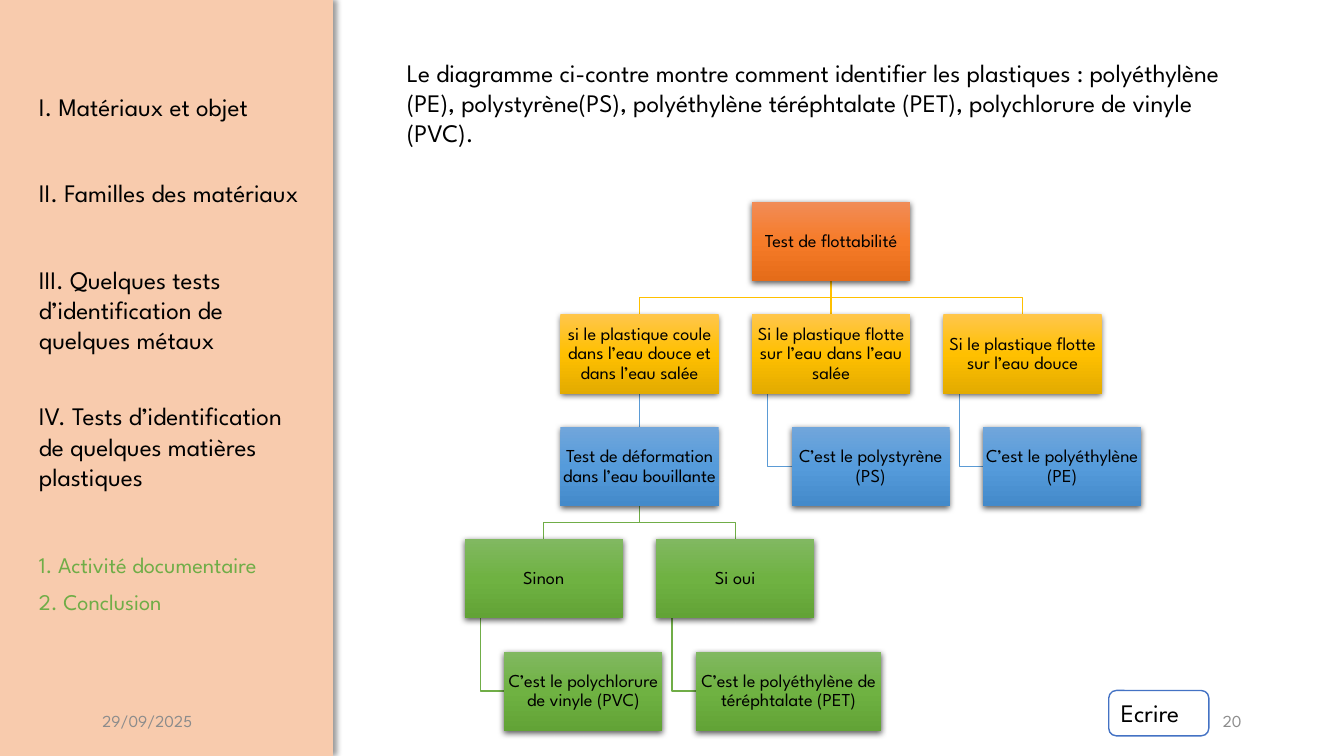
from dataclasses import dataclass

from lxml import etree
from pptx import Presentation
from pptx.dml.color import RGBColor
from pptx.enum import shapes, text
from pptx.oxml import ns
from pptx.util import Pt

FONT = "League Spartan"
BLACK = RGBColor(0x00, 0x00, 0x00)
WHITE = RGBColor(0xFF, 0xFF, 0xFF)
GREY = RGBColor(0x8C, 0x8C, 0x8C)
PEACH = RGBColor(0xF8, 0xCB, 0xAD)
BORDER_BLUE = RGBColor(0x44, 0x72, 0xC4)
YELLOW = RGBColor(0xFF, 0xC0, 0x00)
BLUE = RGBColor(0x5B, 0x9B, 0xD5)
GREEN = RGBColor(0x70, 0xAD, 0x47)

ORANGE_SHADES = RGBColor(0xF1, 0x8C, 0x57), RGBColor(0xF6, 0x7B, 0x28), RGBColor(0xE5, 0x6C, 0x19)
YELLOW_SHADES = RGBColor(0xFF, 0xC6, 0x4B), RGBColor(0xFF, 0xC0, 0x00), RGBColor(0xE3, 0xAB, 0x00)
BLUE_SHADES = RGBColor(0x71, 0xA6, 0xDB), RGBColor(0x55, 0x9B, 0xDB), RGBColor(0x44, 0x8A, 0xCA)
GREEN_SHADES = RGBColor(0x81, 0xB8, 0x61), RGBColor(0x6F, 0xB2, 0x42), RGBColor(0x62, 0xA3, 0x36)

# Tree geometry: columns are counted in half steps, hanging boxes are indented
HALF_COLUMN, ROW_STEP = 68.4, 80.3
BOX_WIDTH, BOX_HEIGHT = 113, 56.6
HANG_INDENT, HANG_START = 28.3, 11.3


@dataclass
class Node:
    label: str
    column: int
    row: int
    shades: tuple
    parent: str = ""
    link_color: RGBColor = None
    hanging: bool = False
    width: float = BOX_WIDTH


NODES = [
    Node("Test de flottabilité", 3, 0, ORANGE_SHADES),
    Node("si le plastique coule dans l’eau douce et dans l’eau salée", 1, 1, YELLOW_SHADES,
         "Test de flottabilité", YELLOW),
    Node("Si le plastique flotte sur l’eau dans l’eau salée", 3, 1, YELLOW_SHADES,
         "Test de flottabilité", YELLOW),
    Node("Si le plastique flotte sur l’eau douce", 5, 1, YELLOW_SHADES,
         "Test de flottabilité", YELLOW),
    Node("Test de déformation dans l’eau bouillante", 1, 2, BLUE_SHADES,
         "si le plastique coule dans l’eau douce et dans l’eau salée", BLUE),
    Node("C’est le polystyrène (PS)", 3, 2, BLUE_SHADES,
         "Si le plastique flotte sur l’eau dans l’eau salée", BLUE, True),
    Node("C’est le polyéthylène (PE)", 5, 2, BLUE_SHADES,
         "Si le plastique flotte sur l’eau douce", BLUE, True),
    Node("Sinon", 0, 3, GREEN_SHADES, "Test de déformation dans l’eau bouillante", GREEN),
    Node("Si oui", 2, 3, GREEN_SHADES, "Test de déformation dans l’eau bouillante", GREEN),
    Node("C’est le polychlorure de vinyle (PVC)", 0, 4, GREEN_SHADES, "Sinon", GREEN, True),
    Node("C’est le polyéthylène de téréphtalate (PET)", 2, 4, GREEN_SHADES, "Si oui", GREEN,
         True, 132.5),
]


def add_shadow(shape, opacity, blur, distance, angle):
    """Call after the line is set, so that the effect follows it."""
    shape.shadow.inherit = False
    effects = shape._element.spPr.find(ns.qn("a:effectLst"))
    outer = etree.SubElement(effects, ns.qn("a:outerShdw"), blurRad=str(Pt(blur)),
                             dist=str(Pt(distance)), dir=str(angle * 60000),
                             algn="ctr", rotWithShape="0")
    color = etree.SubElement(outer, ns.qn("a:srgbClr"), val="000000")
    etree.SubElement(color, ns.qn("a:alpha"), val=str(opacity * 1000))


def fill_vertical_gradient(shape, shades):
    shape.fill.gradient()
    gradient = shape._element.spPr.find(ns.qn("a:gradFill"))
    stops = gradient.find(ns.qn("a:gsLst"))
    for stop in list(stops):
        stops.remove(stop)
    for position, shade in zip((0, 50000, 100000), shades):
        stop = etree.SubElement(stops, ns.qn("a:gs"), pos=str(position))
        etree.SubElement(stop, ns.qn("a:srgbClr"), val=str(shade))
    gradient.find(ns.qn("a:lin")).set("ang", "5400000")


def write(shape, content, size, color=BLACK, align=text.PP_ALIGN.LEFT,
          anchor=text.MSO_ANCHOR.TOP, wrap=True):
    frame = shape.text_frame
    frame.text = content
    frame.word_wrap = wrap
    frame.vertical_anchor = anchor
    paragraph = frame.paragraphs[0]
    paragraph.alignment = align
    font = paragraph.runs[0].font
    font.name, font.size, font.color.rgb = FONT, Pt(size), color


def add_text(slide, left, top, width, height, content, size, **style):
    box = slide.shapes.add_textbox(Pt(left), Pt(top), Pt(width), Pt(height))
    write(box, content, size, **style)


def add_sidebar(slide, left, top, width, height):
    panel = slide.shapes.add_shape(shapes.MSO_SHAPE.RECTANGLE,
                                   Pt(left), Pt(top), Pt(width), Pt(height))
    panel.fill.solid()
    panel.fill.fore_color.rgb = PEACH
    panel.line.fill.background()
    add_shadow(panel, 40, 4, 3, 0)
    chapters = [
        (61.7, 29, "I. Matériaux et objet"),
        (123.3, 29, "II. Familles des matériaux"),
        (184.9, 72.7, "III. Quelques tests d’identification de quelques métaux"),
        (282.7, 72.7, "IV. Tests d’identification de quelques matières plastiques"),
    ]
    for offset, block_height, title in chapters:
        add_text(slide, left + 20.7, top + offset, 204.5, block_height, title, 18)
    for index, title in enumerate(["1. Activité documentaire", "2. Conclusion"]):
        add_text(slide, left + 20.7, top + 390.2 + 26.7 * index, 217.4, 26.6, title, 16,
                 color=GREEN)


def add_link(slide, points, color):
    if len(points) == 2:
        (x1, y1), (x2, y2) = points
        link = slide.shapes.add_connector(shapes.MSO_CONNECTOR.STRAIGHT,
                                          Pt(x1), Pt(y1), Pt(x2), Pt(y2))
    else:
        corners = [(Pt(x), Pt(y)) for x, y in points]
        builder = slide.shapes.build_freeform(*corners[0])
        builder.add_line_segments(corners[1:], close=False)
        link = builder.convert_to_shape()
        link.fill.background()
    link.line.color.rgb = color
    link.line.width = Pt(1)
    etree.SubElement(link._element.spPr, ns.qn("a:effectLst"))


def add_tree(slide, left, top):
    def corner(node):
        indent = HANG_INDENT if node.hanging else 0
        return left + node.column * HALF_COLUMN + indent, top + node.row * ROW_STEP

    by_label = {node.label: node for node in NODES}
    for node in NODES[1:]:
        x, y = corner(node)
        parent_x, parent_y = corner(by_label[node.parent])
        bottom = parent_y + BOX_HEIGHT
        start, end = parent_x + BOX_WIDTH / 2, x + BOX_WIDTH / 2
        if node.hanging:
            trunk, middle = parent_x + HANG_START, y + BOX_HEIGHT / 2
            points = [(trunk, bottom), (trunk, middle), (x, middle)]
        elif start == end:
            points = [(start, bottom), (end, y)]
        else:
            middle = (bottom + y) / 2
            points = [(start, bottom), (start, middle), (end, middle), (end, y)]
        add_link(slide, points, node.link_color)

    for node in NODES:
        x, y = corner(node)
        box = slide.shapes.add_shape(shapes.MSO_SHAPE.RECTANGLE,
                                     Pt(x), Pt(y), Pt(node.width), Pt(BOX_HEIGHT))
        fill_vertical_gradient(box, node.shades)
        box.line.fill.background()
        add_shadow(box, 63, 4.5, 1.5, 90)
        write(box, node.label, 13, align=text.PP_ALIGN.CENTER, anchor=text.MSO_ANCHOR.MIDDLE)
        frame = box.text_frame
        frame.margin_left = frame.margin_right = Pt(0.7)
        frame.margin_top = frame.margin_bottom = Pt(0.7)
        frame.paragraphs[0].line_spacing = 0.9


def add_write_badge(slide, left, top, width, height):
    badge = slide.shapes.add_shape(shapes.MSO_SHAPE.ROUNDED_RECTANGLE,
                                   Pt(left), Pt(top), Pt(width), Pt(height))
    badge.fill.solid()
    badge.fill.fore_color.rgb = WHITE
    badge.line.color.rgb = BORDER_BLUE
    badge.line.width = Pt(1)
    badge.shadow.inherit = False
    write(badge, "Ecrire", 18, wrap=False)


def add_footer(slide, left, top, width, height):
    style = {"color": GREY, "anchor": text.MSO_ANCHOR.MIDDLE}
    add_text(slide, left, top, 216, height, "29/09/2025", 12, **style)
    add_text(slide, left + width - 216, top, 216, height, "20", 12,
             align=text.PP_ALIGN.RIGHT, **style)


def main():
    presentation = Presentation()
    presentation.slide_width, presentation.slide_height = Pt(960), Pt(540)
    slide = presentation.slides.add_slide(presentation.slide_layouts[6])
    add_sidebar(slide, 0, 0, 237.8, 540)
    add_tree(slide, 331.9, 144.2)
    add_text(slide, 283.5, 37.4, 597.6, 72.7,
             "Le diagramme ci-contre montre comment identifier les plastiques : polyéthylène (PE), "
             "polystyrène(PS), polyéthylène téréphtalate (PET), polychlorure de vinyle (PVC).", 18)
    add_write_badge(slide, 792, 493.2, 71.5, 32.4)
    add_footer(slide, 66, 500.5, 828, 28.8)
    presentation.save("out.pptx")


if __name__ == "__main__":
    main()
